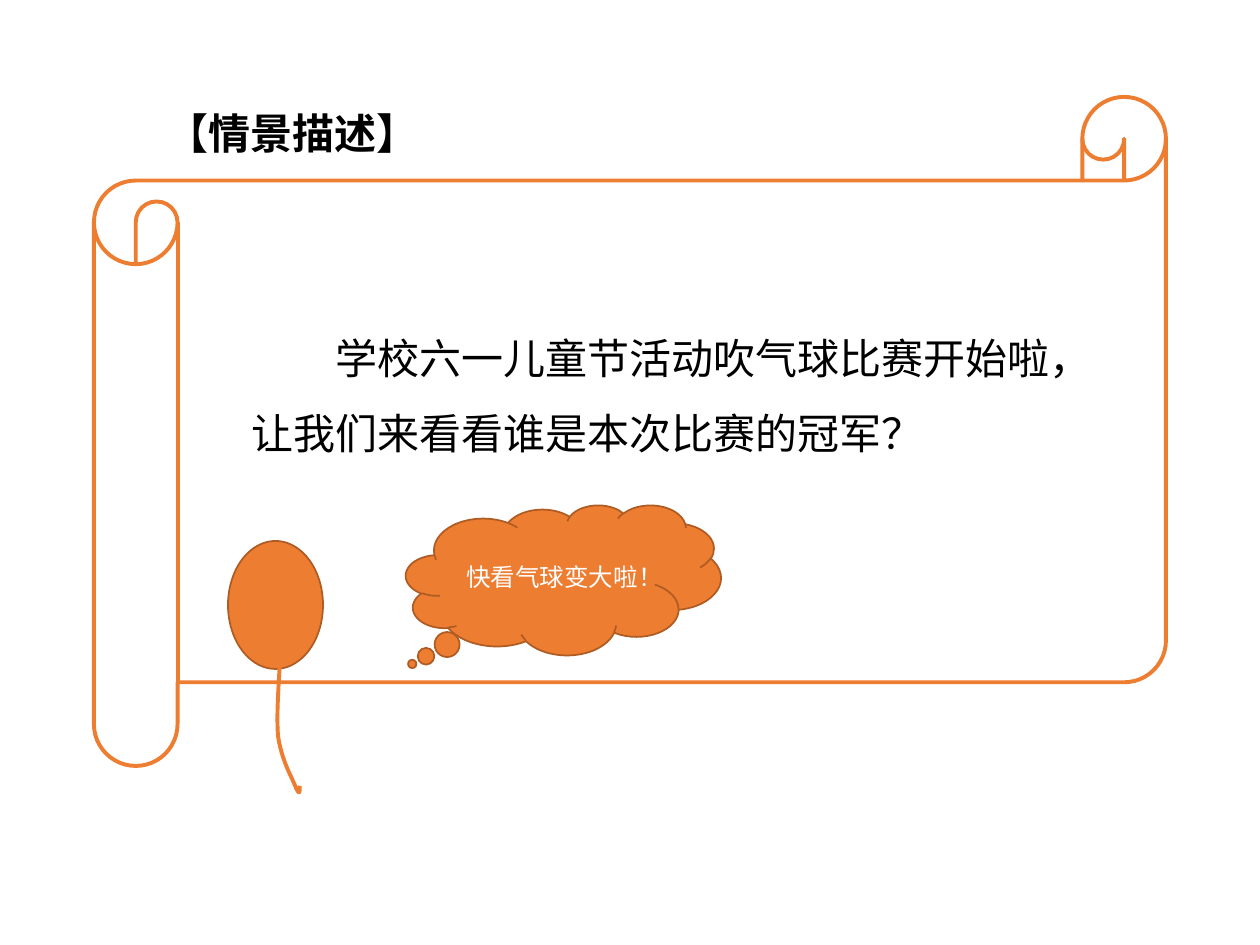
"""Build the scene description slide with a scroll, a balloon and a thought cloud."""
from pptx import Presentation
from pptx.dml.color import RGBColor
from pptx.enum.shapes import MSO_SHAPE
from pptx.enum.text import MSO_ANCHOR, MSO_AUTO_SIZE, PP_ALIGN
from pptx.oxml.ns import qn
from pptx.util import Pt

SCROLL, CLOUD, OVAL = MSO_SHAPE.HORIZONTAL_SCROLL, MSO_SHAPE.CLOUD_CALLOUT, MSO_SHAPE.OVAL
TOP, MIDDLE = MSO_ANCHOR.TOP, MSO_ANCHOR.MIDDLE
LEFT, CENTER = PP_ALIGN.LEFT, PP_ALIGN.CENTER
PX = 914400 / 126

THEME = {
    "orange": "ED7D31", "edge": "AF5C24", "black": "000000", "white": "FFFFFF",
    "cjk": "Noto Sans CJK SC", "latin": "Calibri",
    "large": 24, "small": 14, "thick": 2.25, "thin": 1,
}

TITLE = ("【情景描述】", (154, 101, 281, 63))
STORY = ("学校六一儿童节活动吹气球比赛开始啦，让我们来看看谁是本次比赛的冠军？", (239, 300, 856, 165))
THOUGHT = ("快看气球变大啦！", (406, 505, 315, 150))
SCROLL_BOX = (94, 97, 1072, 669)
BALLOON_BOX = (228, 541, 95, 128)
STRING_START = (280, 656)
STRING_CURVES = [
    ((280, 672), (276, 709), (278, 736)),
    ((282, 762), (292, 777), (296, 788)),
    ((301, 798), (299, 788), (300, 786)),
]
STEPS = 12
INDENT = 84


def px(n):
    return round(n * PX)


def color(name):
    return RGBColor.from_string(THEME[name])


def paint(sp, fill, line, width):
    sp.shadow.inherit = False
    if fill:
        sp.fill.solid()
        sp.fill.fore_color.rgb = color(fill)
    else:
        sp.fill.background()
    sp.line.color.rgb = color(line)
    sp.line.width = Pt(THEME[width])


def write(sp, text, size, ink, font, align, anchor, bold=False, wrap=True):
    tf = sp.text_frame
    tf.text = text
    tf.auto_size = MSO_AUTO_SIZE.NONE
    tf.word_wrap = wrap
    tf.vertical_anchor = anchor
    p = tf.paragraphs[0]
    p.alignment = align
    r = p.runs[0]
    r.font.size = Pt(THEME[size])
    r.font.bold = bold
    r.font.color.rgb = color(ink)
    r.font.name = THEME[font]
    ea = r.font._element.makeelement(qn("a:ea"), {"typeface": THEME["cjk"]})
    r.font._element.find(qn("a:latin")).addnext(ea)
    return p


def add_shape(shapes, kind, box, fill, line, width):
    sp = shapes.add_shape(kind, *map(px, box))
    paint(sp, fill, line, width)
    return sp


def bezier(points, t):
    weights = ((1 - t) ** 3, 3 * t * (1 - t) ** 2, 3 * t * t * (1 - t), t ** 3)
    return tuple(px(sum(w * pt[axis] for w, pt in zip(weights, points))) for axis in (0, 1))


def add_string(shapes):
    start, points = STRING_START, []
    for curve in STRING_CURVES:
        points += [bezier((start, *curve), i / STEPS) for i in range(1, STEPS + 1)]
        start = curve[-1]
    builder = shapes.build_freeform(*map(px, STRING_START))
    builder.add_line_segments(points, close=False)
    paint(builder.convert_to_shape(), None, "orange", "thick")


def main():
    prs = Presentation()
    prs.slide_width, prs.slide_height = px(1260), px(945)
    slide = prs.slides.add_slide(prs.slide_layouts[5])
    shapes = slide.shapes

    text, box = TITLE
    title = shapes.title
    title.left, title.top, title.width, title.height = map(px, box)
    write(title, text, "large", "black", "cjk", LEFT, TOP, bold=True, wrap=False)

    text, box = STORY
    story = shapes.add_textbox(*map(px, box))
    p = write(story, text, "large", "black", "cjk", LEFT, MIDDLE)
    p.line_spacing = 1.5
    p._p.get_or_add_pPr().set("indent", str(px(INDENT)))

    add_shape(shapes, SCROLL, SCROLL_BOX, None, "orange", "thick")

    text, box = THOUGHT
    cloud = add_shape(shapes, CLOUD, box, "orange", "edge", "thin")
    cloud.adjustments[0], cloud.adjustments[1] = -0.48, 0.56
    write(cloud, text, "small", "white", "latin", CENTER, MIDDLE)

    balloon = shapes.add_group_shape().shapes
    add_shape(balloon, OVAL, BALLOON_BOX, "orange", "edge", "thin")
    add_string(balloon)

    prs.save("out.pptx")


if __name__ == "__main__":
    main()
